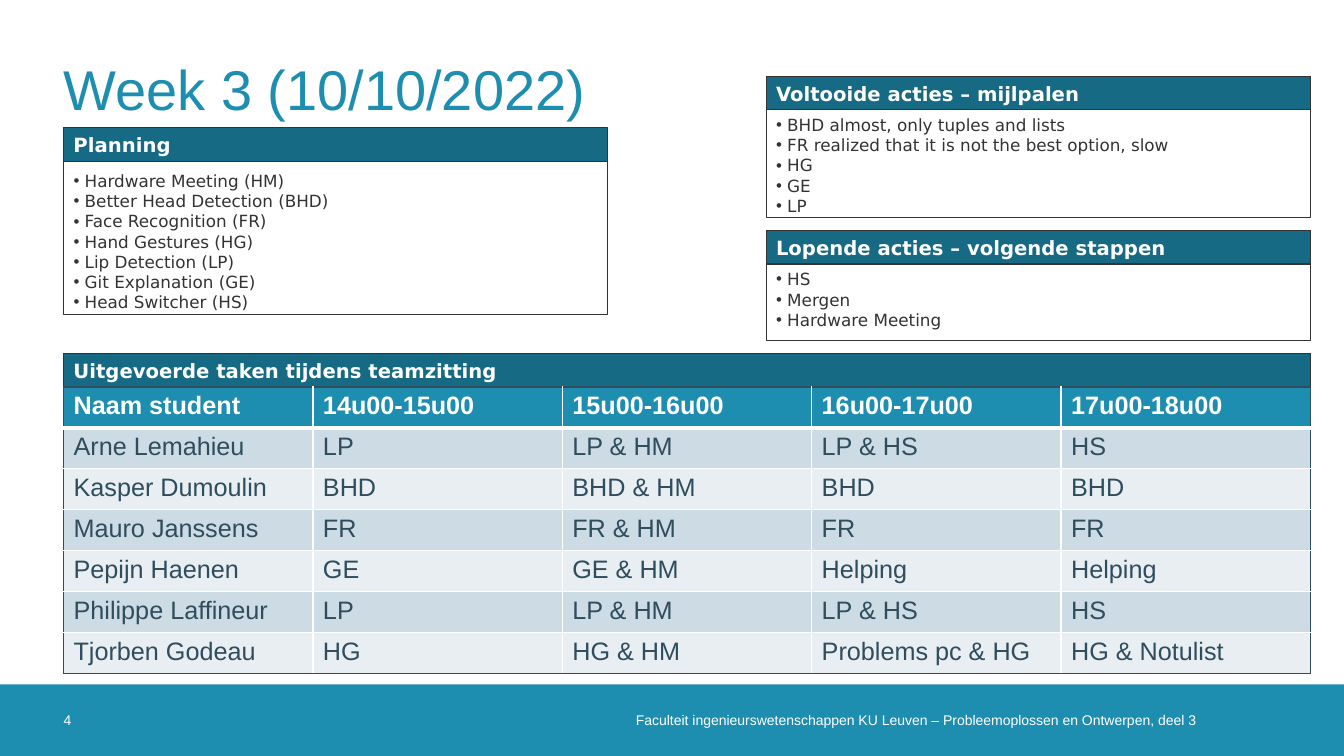
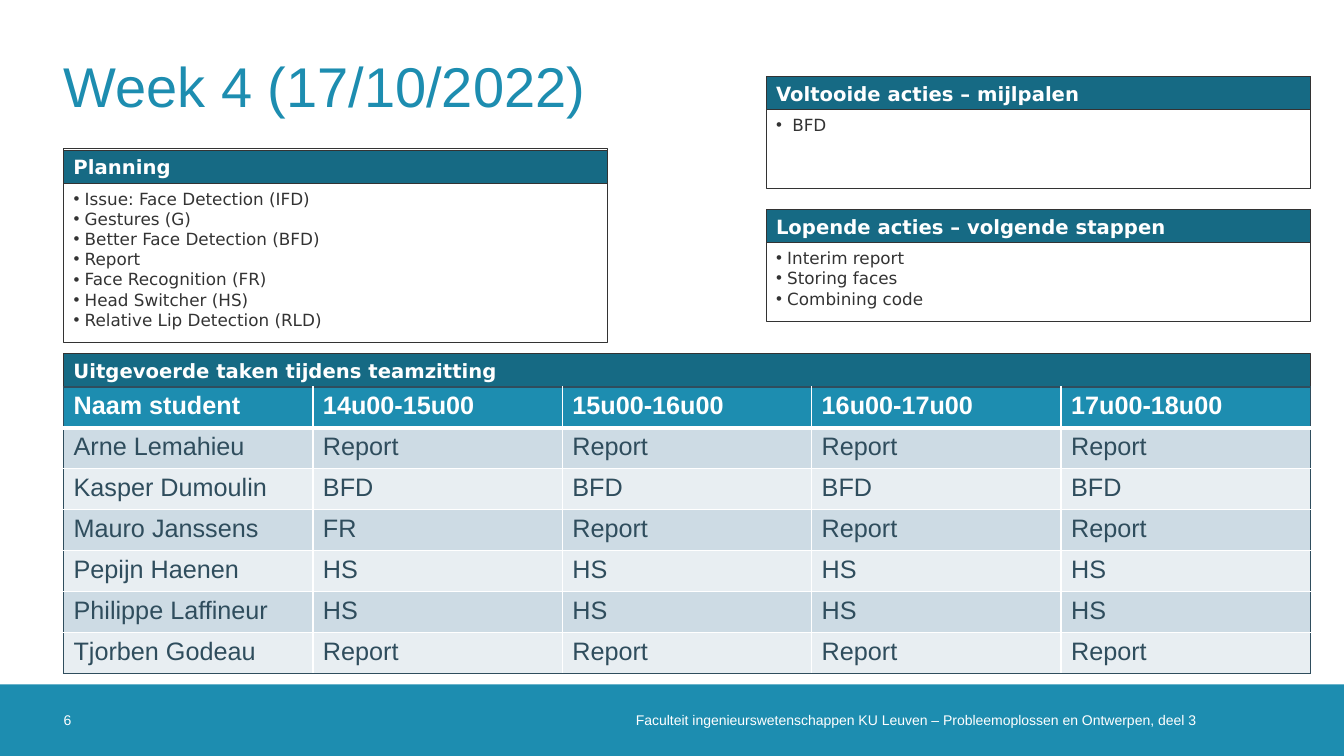
from lxml import etree
from pptx import Presentation
from pptx import util as u
from pptx.dml.color import RGBColor
from pptx.enum import shapes, text
from pptx.oxml import ns

# Colours and fonts
WHITE = RGBColor(0xFF, 0xFF, 0xFF)
BLUE = RGBColor(0x1D, 0x8D, 0xB0)
DARK_BLUE = RGBColor(0x16, 0x6A, 0x84)
GREY = RGBColor(0x33, 0x33, 0x33)
SLATE = RGBColor(0x2F, 0x4D, 0x5D)
ROW_FILLS = (RGBColor(0xCD, 0xDB, 0xE4), RGBColor(0xE8, 0xEE, 0xF2))
SANS, PANEL_FONT = "Arial", "DejaVu Sans"

# Grid of 100 columns by 100 rows
SLIDE_W, SLIDE_H = u.Inches(13.33), u.Inches(7.5)
LEFT, RIGHT, PANEL_W = 4.73, 57, 40.5
FULL_W = RIGHT + PANEL_W - LEFT
HEAD_H = 4.4
TASKS_TOP, TABLE_H = 46.8, 37.87
BAND_TOP = 90.53
BAND_H = 100 - BAND_TOP

# Shared wording
FOOTER = ("Faculteit ingenieurswetenschappen KU Leuven – "
          "Probleemoplossen en Ontwerpen, deel 3")
PLANNING = "Planning"
DONE = "Voltooide acties – mijlpalen"
NEXT = "Lopende acties – volgende stappen"
TASKS = "Uitgevoerde taken tijdens teamzitting"
TABLE_HEAD = ["Naam student", "14u00-15u00", "15u00-16u00",
              "16u00-17u00", "17u00-18u00"]
STUDENTS = ["Arne Lemahieu", "Kasper Dumoulin", "Mauro Janssens",
            "Pepijn Haenen", "Philippe Laffineur", "Tjorben Godeau"]


def grid(x, y, w, h):
    """Turn columns and rows into left, top, width and height."""
    return (int(SLIDE_W * x / 100), int(SLIDE_H * y / 100),
            int(SLIDE_W * w / 100), int(SLIDE_H * h / 100))


class Deck:
    """The style of the deck and the slide being built."""

    def __init__(self):
        self.prs = Presentation()
        self.prs.slide_width, self.prs.slide_height = SLIDE_W, SLIDE_H
        self.layout = self.prs.slide_layouts.get_by_name("Comparison")
        self.s = None
        self.bodies = []

    def start(self, title, title_top, number):
        """Add a slide with its title and footer."""
        first = self.s is None
        self.s = self.prs.slides.add_slide(self.layout)
        self.bodies = [ph for ph in self.s.placeholders
                       if ph.placeholder_format.idx > 0]
        if first:  # the band belongs to the master
            band = self.rect(0, BAND_TOP, 100, BAND_H, fill=BLUE)
            self.prs.slide_master.shapes.element.append(band.element)
        sp = self.s.shapes.title
        self.place(sp, LEFT, title_top, 90.55, 16.8)
        self.line_of_text(sp.text_frame, title, 40, BLUE, inset=0)
        self.label(47.1, 43.36, FOOTER, text.PP_ALIGN.RIGHT, 0.2)
        self.label(LEFT, 5.33, number)

    def finish(self):
        """Remove the placeholders that were not used."""
        for ph in self.bodies:
            ph.element.getparent().remove(ph.element)

    @staticmethod
    def place(sp, *cells):
        sp.left, sp.top, sp.width, sp.height = grid(*cells)

    @staticmethod
    def add_run(p, words, size, colour, font=SANS, bold=False):
        r = p.add_run()
        r.text = words
        f = r.font
        f.name, f.size, f.bold = font, u.Pt(size), bold
        f.color.rgb = colour

    def line_of_text(self, tf, words, size, colour, font=SANS, bold=False,
                     inset=None, align=text.PP_ALIGN.LEFT):
        """Fill a frame with one line, centred vertically."""
        tf.word_wrap = True
        tf.auto_size = text.MSO_AUTO_SIZE.NONE
        tf.vertical_anchor = text.MSO_ANCHOR.MIDDLE
        if inset is not None:
            tf.margin_left = tf.margin_top = tf.margin_bottom = 0
            tf.margin_right = u.Inches(inset)
        p = tf.paragraphs[0]
        p.alignment = align
        self.add_run(p, words, size, colour, font, bold)

    def label(self, x, w, words, align=text.PP_ALIGN.LEFT, inset=0):
        sp = self.s.shapes.add_textbox(*grid(x, BAND_TOP, w, BAND_H))
        self.line_of_text(sp.text_frame, words, 10, WHITE,
                          inset=inset, align=align)

    def rect(self, x, y, w, h, fill=None, line=None):
        sp = self.s.shapes.add_shape(shapes.MSO_SHAPE.RECTANGLE,
                                     *grid(x, y, w, h))
        sp.shadow.inherit = False
        if fill is None:
            sp.fill.background()
        else:
            sp.fill.solid()
            sp.fill.fore_color.rgb = fill
        if line is None:
            sp.line.fill.background()
        else:
            sp.line.color.rgb = line
            sp.line.width = u.Pt(0.75)
        return sp

    def heading(self, x, y, w, words):
        sp = self.rect(x, y, w, HEAD_H, DARK_BLUE, GREY)
        self.line_of_text(sp.text_frame, words, 14, WHITE, PANEL_FONT, True)

    def panel(self, x, y, h, words, items, shift=0.0, gap=0.0, indent=0.11):
        """Framed list; shift moves its heading, gap its first line."""
        self.rect(x, y, PANEL_W, h, line=GREY)
        self.heading(x, y + shift, PANEL_W, words)
        top = y + shift + HEAD_H + gap
        self.bullets(x, top, y + h - top, items, indent)

    def bullets(self, x, y, h, items, indent):
        sp = self.bodies.pop(0)
        self.place(sp, x, y, PANEL_W, h)
        tf = sp.text_frame
        tf.word_wrap = True
        tf.auto_size = text.MSO_AUTO_SIZE.NONE
        tf.vertical_anchor = text.MSO_ANCHOR.TOP
        for i, item in enumerate(items):
            p = tf.add_paragraph() if i else tf.paragraphs[0]
            p.alignment = text.PP_ALIGN.LEFT
            p.space_before = p.space_after = u.Pt(0)
            p.line_spacing = u.Pt(14.4)
            self.add_run(p, item, 12, GREY, PANEL_FONT)
            pPr = p._p.get_or_add_pPr()
            pPr.set("marL", str(u.Inches(indent)))
            pPr.set("indent", str(-u.Inches(indent)))
            etree.SubElement(pPr, ns.qn("a:buFont"), typeface=SANS)
            etree.SubElement(pPr, ns.qn("a:buChar"), char="•")

    def tasks(self, rows):
        """Heading bar with the table of tasks below it."""
        self.heading(LEFT, TASKS_TOP, FULL_W, TASKS)
        data = [TABLE_HEAD] + [[name] + row
                               for name, row in zip(STUDENTS, rows)]
        n_rows, n_cols = len(data), len(TABLE_HEAD)
        cells = grid(LEFT, TASKS_TOP + HEAD_H, FULL_W, TABLE_H)
        table = self.s.shapes.add_table(n_rows, n_cols, *cells).table
        table.first_row = table.horz_banding = False
        for col in table.columns:
            col.width = cells[2] // n_cols
        for i, row in enumerate(data):
            table.rows[i].height = cells[3] // n_rows
            for j, words in enumerate(row):
                cell = table.cell(i, j)
                head = i == 0
                self.add_run(cell.text_frame.paragraphs[0], words, 18,
                             WHITE if head else SLATE, bold=head)
                # Dark lines outside, white inside, thick below the head
                self.borders(cell, (
                    ("L", SLATE if j == 0 else WHITE, 1),
                    ("R", SLATE if j == n_cols - 1 else WHITE, 1),
                    ("T", SLATE if head else WHITE, 3 if i == 1 else 1),
                    ("B", SLATE if i == n_rows - 1 else WHITE,
                     3 if head else 1)))
                cell.fill.solid()
                cell.fill.fore_color.rgb = (BLUE if head
                                            else ROW_FILLS[(i - 1) % 2])

    @staticmethod
    def borders(cell, sides):
        tcPr = cell._tc.get_or_add_tcPr()
        for side, colour, width in sides:
            ln = etree.SubElement(tcPr, ns.qn("a:ln" + side),
                                  w=str(u.Pt(width)))
            fill = etree.SubElement(ln, ns.qn("a:solidFill"))
            etree.SubElement(fill, ns.qn("a:srgbClr"), val=str(colour))


def main():
    deck = Deck()

    # Week 3
    deck.start("Week 3 (10/10/2022)", 3.2, "4")
    deck.panel(LEFT, 17.33, 24.27, PLANNING, [
        "Hardware Meeting (HM)", "Better Head Detection (BHD)",
        "Face Recognition (FR)", "Hand Gestures (HG)", "Lip Detection (LP)",
        "Git Explanation (GE)", "Head Switcher (HS)"], shift=-0.4, gap=0.6)
    deck.panel(RIGHT, 10.13, 18.67, DONE, [
        "BHD almost, only tuples and lists",
        "FR realized that it is not the best option, slow",
        "HG", "GE", "LP"])
    deck.panel(RIGHT, 30.53, 14.53, NEXT, ["HS", "Mergen", "Hardware Meeting"])
    deck.tasks([
        ["LP", "LP & HM", "LP & HS", "HS"],
        ["BHD", "BHD & HM", "BHD", "BHD"],
        ["FR", "FR & HM", "FR", "FR"],
        ["GE", "GE & HM", "Helping", "Helping"],
        ["LP", "LP & HM", "LP & HS", "HS"],
        ["HG", "HG & HM", "Problems pc & HG", "HG & Notulist"]])
    deck.finish()

    # Week 4
    deck.start("Week 4 (17/10/2022)", 2.8, "6")
    deck.panel(LEFT, 19.6, 25.73, PLANNING, [
        "Issue: Face Detection (IFD)", "Gestures (G)",
        "Better Face Detection (BFD)", "Report", "Face Recognition (FR)",
        "Head Switcher (HS)", "Relative Lip Detection (RLD)"], shift=0.27)
    deck.panel(RIGHT, 10.13, 14.8, DONE, ["BFD"], indent=0.16)
    deck.panel(RIGHT, 27.73, 14.8, NEXT, [
        "Interim report", "Storing faces", "Combining code"])
    deck.tasks([
        ["Report"] * 4,
        ["BFD"] * 4,
        ["FR"] + ["Report"] * 3,
        ["HS"] * 4,
        ["HS"] * 4,
        ["Report"] * 4])
    deck.finish()

    deck.prs.save("out.pptx")


if __name__ == "__main__":
    main()
